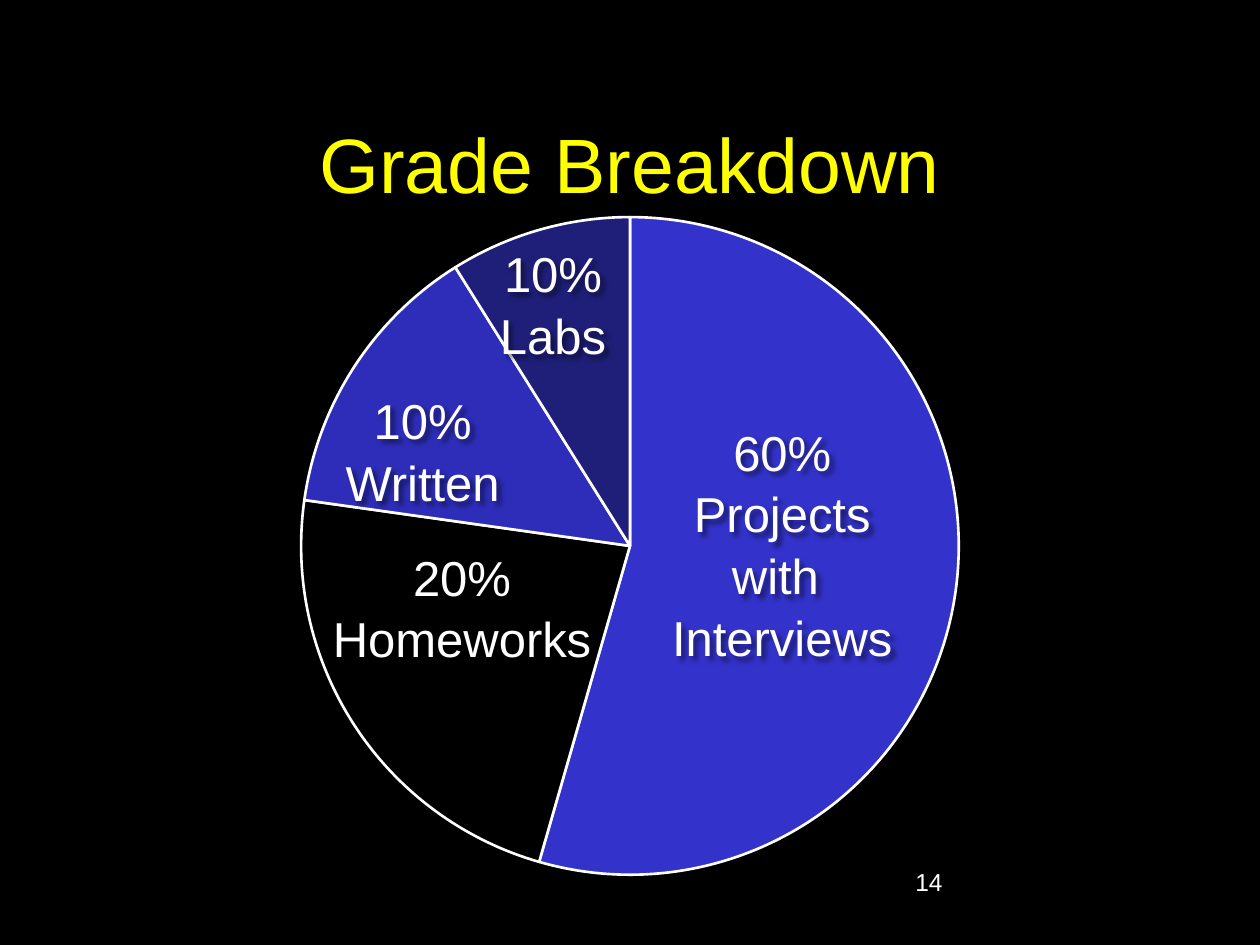
from dataclasses import dataclass

from lxml.etree import SubElement
from pptx import Presentation
from pptx.chart.data import CategoryChartData
from pptx.dml.color import RGBColor
from pptx.enum.chart import XL_CHART_TYPE
from pptx.enum.text import MSO_ANCHOR, MSO_AUTO_SIZE, PP_ALIGN
from pptx.oxml import parse_xml
from pptx.oxml.ns import nsdecls, qn
from pptx.util import Pt

FONT = "Arial"
WHITE = "FFFFFF"


@dataclass
class Slice:
    value: int
    color: str
    lines: list[str]
    box: tuple[float, float, float, float]  # label left, top, width, height


SLICES = [
    Slice(55, "3333CC", ["60%", "Projects", "with ", "Interviews"],
          (376, 236, 142, 143)),
    Slice(23, "000000", ["20%", "Homeworks"], (182, 307.5, 164, 75)),
    Slice(14, "2D2DB9", ["10%", "Written"], (189.5, 218, 104, 75)),
    Slice(9, "1F1F7A", ["10%", "Labs"], (278, 134, 76, 75)),
]


def rgb(color: str) -> RGBColor:
    return RGBColor.from_string(color)


def format_paragraph(p, size: float, color: str, align=None) -> None:
    p.alignment = align
    p.font.name = FONT
    p.font.size = Pt(size)
    p.font.color.rgb = rgb(color)


def add_shadow(sp) -> None:
    sp._element.spPr.append(parse_xml(
        f'<a:effectLst {nsdecls("a")}>'
        f'<a:outerShdw blurRad="{Pt(3)}" dist="{Pt(3)}" dir="2700000">'
        '<a:srgbClr val="000000"><a:alpha val="50000"/></a:srgbClr>'
        '</a:outerShdw></a:effectLst>'))


def add_label(s, item: Slice) -> None:
    sp = s.shapes.add_textbox(*map(Pt, item.box))
    add_shadow(sp)
    tf = sp.text_frame
    tf.word_wrap = False
    tf.auto_size = MSO_AUTO_SIZE.SHAPE_TO_FIT_TEXT
    tf.text = "\n".join(item.lines)
    for p in tf.paragraphs:
        format_paragraph(p, 28, WHITE, PP_ALIGN.CENTER)
        p.line_spacing = 1.05


def set_plot_size(chart, width: float, height: float) -> None:
    """Centre the plot, sized as fractions of the chart."""
    area = chart._chartSpace.chart.plotArea
    layout = area.find(qn("c:layout"))
    if layout is None:
        layout = parse_xml(f'<c:layout {nsdecls("c")}/>')
        area.insert(0, layout)
    manual = SubElement(layout, qn("c:manualLayout"))
    settings = {"layoutTarget": "inner", "xMode": "edge", "yMode": "edge",
                "x": (1 - width) / 2, "y": (1 - height) / 2,
                "w": width, "h": height}
    for tag, value in settings.items():
        SubElement(manual, qn(f"c:{tag}")).set("val", str(value))


def add_pie(s, slices: list[Slice]) -> None:
    data = CategoryChartData()
    data.categories = [str(i) for i in range(1, len(slices) + 1)]
    data.add_series("Series 1", [item.value for item in slices])
    chart = s.shapes.add_chart(XL_CHART_TYPE.PIE, Pt(63), Pt(114),
                               Pt(594), Pt(396), data).chart
    chart.has_title = False
    chart.has_legend = False
    chart.font.name = "Comic Neue"
    chart.font.size = Pt(10)
    chart.font.color.rgb = rgb(WHITE)
    plot = chart.plots[0]
    plot.vary_by_categories = True
    for i, item in enumerate(slices):
        fmt = plot.series[0].points[i].format
        fmt.fill.solid()
        fmt.fill.fore_color.rgb = rgb(item.color)
        fmt.line.color.rgb = rgb(WHITE)
        fmt.line.width = Pt(1.5)
    diameter = 376
    set_plot_size(chart, round(diameter / 594, 3), round(diameter / 396, 3))


def main() -> None:
    prs = Presentation()
    prs.slide_width, prs.slide_height = Pt(720), Pt(540)
    s = prs.slides.add_slide(prs.slide_layouts[5])
    s.background.fill.solid()
    s.background.fill.fore_color.rgb = rgb("000000")

    # Title
    title = s.shapes.title
    title.left, title.top, title.width, title.height = map(
        Pt, (54, 48, 612, 90))
    tf = title.text_frame
    tf.text = "Grade Breakdown"
    tf.vertical_anchor = MSO_ANCHOR.MIDDLE
    format_paragraph(tf.paragraphs[0], 44, "FFFF00", PP_ALIGN.CENTER)

    # Slide number
    number = s.shapes.add_textbox(Pt(516), Pt(492), Pt(150), Pt(36))
    tf = number.text_frame
    tf.word_wrap = True
    tf.text = "14"
    format_paragraph(tf.paragraphs[0], 14, WHITE)

    # Pie and its labels
    add_pie(s, SLICES)
    for item in SLICES:
        add_label(s, item)

    prs.save("out.pptx")


if __name__ == "__main__":
    main()
